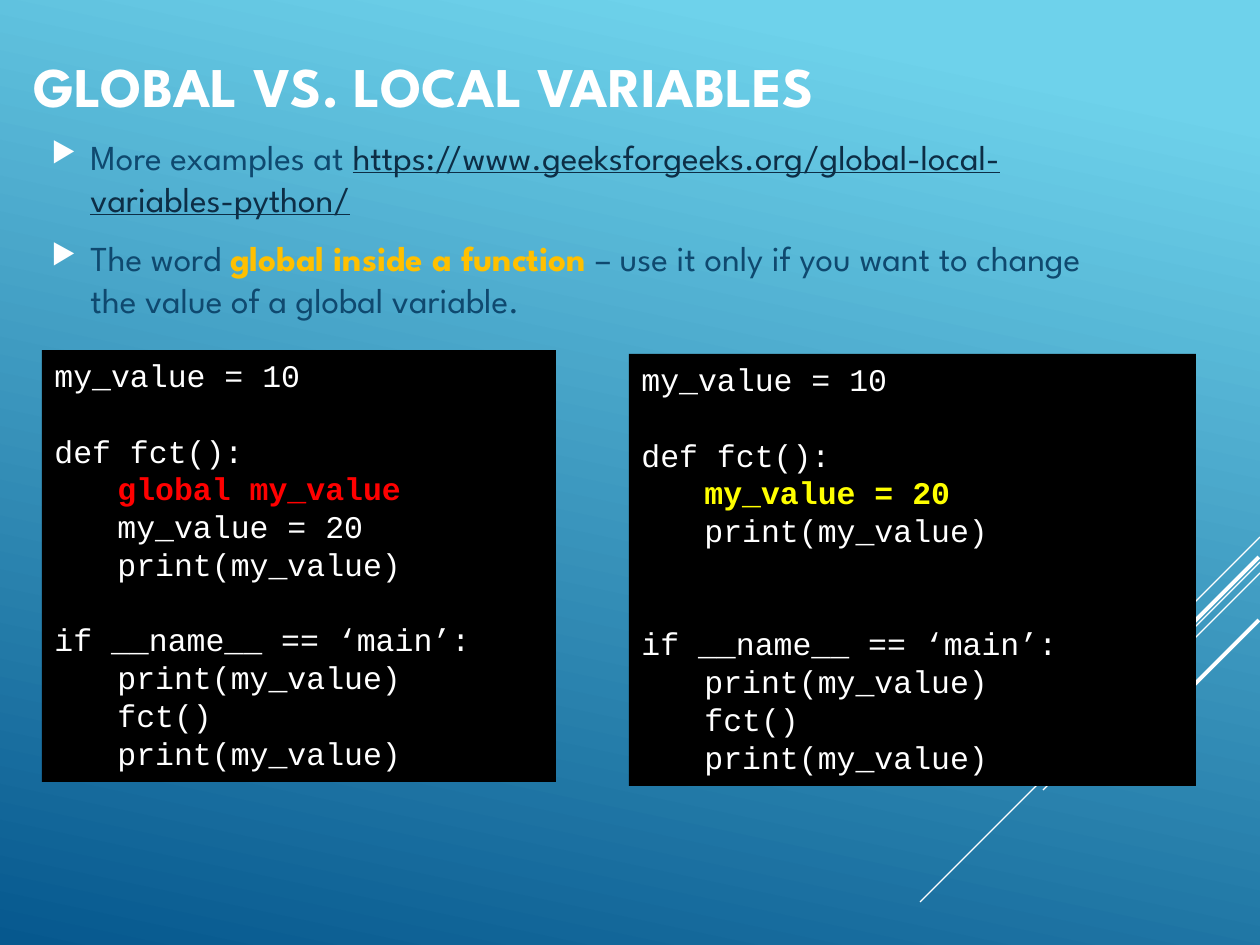
from dataclasses import dataclass

import pptx
import pptx.dml.color
import pptx.enum.dml
import pptx.enum.shapes
import pptx.enum.text
import pptx.oxml
import pptx.oxml.ns
import pptx.util

PX_PER_INCH = 126
Pt = pptx.util.Pt


@dataclass(frozen=True)
class Theme:
    sky: str = "6ED2EB"
    deep: str = "06588E"
    white: str = "FFFFFF"
    black: str = "000000"
    body: str = "0F496F"
    link: str = "0D2E46"
    amber: str = "FFC000"
    red: str = "FF0000"
    yellow: str = "FFFF00"
    text_font: str = "League Spartan"
    code_font: str = "Courier New"
    title_size: int = 32
    body_size: int = 20
    code_size: int = 18
    code_line: float = 21.5  # height of one code line, in points


THEME = Theme()


@dataclass(frozen=True)
class Box:
    x: int
    y: int
    w: int
    h: int


@dataclass(frozen=True)
class Streak:
    """A diagonal line running down and left from (x, y)."""
    x: int
    y: int
    length: int
    width: float


@dataclass(frozen=True)
class Span:
    text: str
    color: str
    bold: bool = False
    underline: bool = False


@dataclass(frozen=True)
class CodeLine:
    text: str
    highlight: str = ""  # colour of an emphasised line
    blanks: int = 0      # empty lines above


@dataclass(frozen=True)
class CodePanel:
    box: Box
    lines: tuple[CodeLine, ...]


def px(n: int) -> pptx.util.Emu:
    return pptx.util.Emu(round(n * 914400 / PX_PER_INCH))


def rgb(value: str) -> pptx.dml.color.RGBColor:
    return pptx.dml.color.RGBColor.from_string(value)


def add_run(p, span: Span, font: str, size: int) -> None:
    r = p.add_run()
    r.text = span.text
    r.font.name = font
    r.font.size = Pt(size)
    r.font.bold = span.bold
    r.font.underline = span.underline
    r.font.color.rgb = rgb(span.color)


def next_paragraph(tf, index: int):
    return tf.add_paragraph() if index else tf.paragraphs[0]


def add_text_frame(s, box: Box):
    tf = s.shapes.add_textbox(px(box.x), px(box.y), px(box.w), px(box.h)).text_frame
    tf.word_wrap = True
    tf.vertical_anchor = pptx.enum.text.MSO_ANCHOR.MIDDLE
    return tf


def add_bullet(p) -> None:
    pPr = p._p.get_or_add_pPr()
    pPr.set("marL", str(px(39)))
    pPr.set("indent", str(-px(39)))
    ns = pptx.oxml.ns.nsdecls("a")
    for xml in (
        f'<a:buClr {ns}><a:srgbClr val="{THEME.white}"/></a:buClr>',
        f'<a:buSzPct {ns} val="80000"/>',
        f'<a:buChar {ns} char="▶"/>',
    ):
        pPr.append(pptx.oxml.parse_xml(xml))


def add_streak(s, streak: Streak) -> None:
    sp = s.shapes.add_connector(
        pptx.enum.shapes.MSO_CONNECTOR.STRAIGHT, px(streak.x), px(streak.y),
        px(streak.x - streak.length), px(streak.y + streak.length))
    sp.line.color.rgb = rgb(THEME.white)
    sp.line.width = Pt(streak.width)
    sp._element.spPr.append(
        pptx.oxml.parse_xml(f'<a:effectLst {pptx.oxml.ns.nsdecls("a")}/>'))


def add_code_panel(s, panel: CodePanel) -> None:
    box = panel.box
    sp = s.shapes.add_shape(pptx.enum.shapes.MSO_SHAPE.RECTANGLE,
                            px(box.x), px(box.y), px(box.w), px(box.h))
    sp.shadow.inherit = False
    sp.fill.solid()
    sp.fill.fore_color.rgb = rgb(THEME.black)
    sp.line.fill.background()
    tf = sp.text_frame
    tf.word_wrap = True
    tf.vertical_anchor = pptx.enum.text.MSO_ANCHOR.TOP
    for i, line in enumerate(panel.lines):
        p = next_paragraph(tf, i)
        p.alignment = pptx.enum.text.PP_ALIGN.LEFT
        if line.blanks:
            p.space_before = Pt(line.blanks * THEME.code_line)
        span = Span(line.text, line.highlight or THEME.white, bool(line.highlight))
        add_run(p, span, THEME.code_font, THEME.code_size)


# Content
STREAKS = (
    Streak(1260, 537, 104, 0.75),
    Streak(1260, 562, 340, 0.75),
    Streak(1260, 573, 217, 0.75),
    Streak(1259, 557, 198, 2.25),
    Streak(1259, 620, 144, 2.25),
)

BULLETS = (
    (Span("More examples at ", THEME.body),
     Span("https://www.geeksforgeeks.org/global-local-variables-python/",
          THEME.link, underline=True)),
    (Span("The word ", THEME.body),
     Span("global inside a function ", THEME.amber, bold=True),
     Span("– use it only if you want to change the value of a global variable.",
          THEME.body)),
)

HEAD = (CodeLine("my_value = 10"), CodeLine("def fct():", blanks=1))
CALLS = tuple(CodeLine(t) for t in ("\tprint(my_value)", "\tfct()", "\tprint(my_value)"))
MAIN = "if __name__ == ‘main’:"

PANELS = (
    CodePanel(Box(42, 350, 514, 432), (
        *HEAD,
        CodeLine("\tglobal my_value", THEME.red),
        CodeLine("\tmy_value = 20"),
        CodeLine("\tprint(my_value)"),
        CodeLine(MAIN, blanks=1),
        *CALLS)),
    CodePanel(Box(629, 354, 567, 432), (
        *HEAD,
        CodeLine("\tmy_value = 20", THEME.yellow),
        CodeLine("\tprint(my_value)"),
        CodeLine(MAIN, blanks=2),
        *CALLS)),
)


def main() -> None:
    prs = pptx.Presentation()
    prs.slide_width, prs.slide_height = px(1260), px(945)
    s = prs.slides.add_slide(prs.slide_layouts[6])

    # Background gradient
    fill = s.background.fill
    fill.gradient()
    fill.gradient_angle = 258
    stops = ((0.1, THEME.sky), (1.0, THEME.deep))
    for stop, (position, color) in zip(fill.gradient_stops, stops):
        stop.position = position
        stop.color.rgb = rgb(color)

    # Diagonal streaks
    for streak in STREAKS:
        add_streak(s, streak)

    # Title
    tf = add_text_frame(s, Box(21, -4, 1134, 179))
    add_run(tf.paragraphs[0], Span("GLOBAL VS. LOCAL VARIABLES", THEME.white, bold=True),
            THEME.text_font, THEME.title_size)

    # Bullets
    tf = add_text_frame(s, Box(39, 102, 1092, 252))
    for i, spans in enumerate(BULLETS):
        p = next_paragraph(tf, i)
        add_bullet(p)
        p.space_before = Pt(4 if i else 0)
        p.space_after = Pt(6)
        for span in spans:
            add_run(p, span, THEME.text_font, THEME.body_size)

    # Code panels
    for panel in PANELS:
        add_code_panel(s, panel)

    prs.save("out.pptx")


if __name__ == "__main__":
    main()
